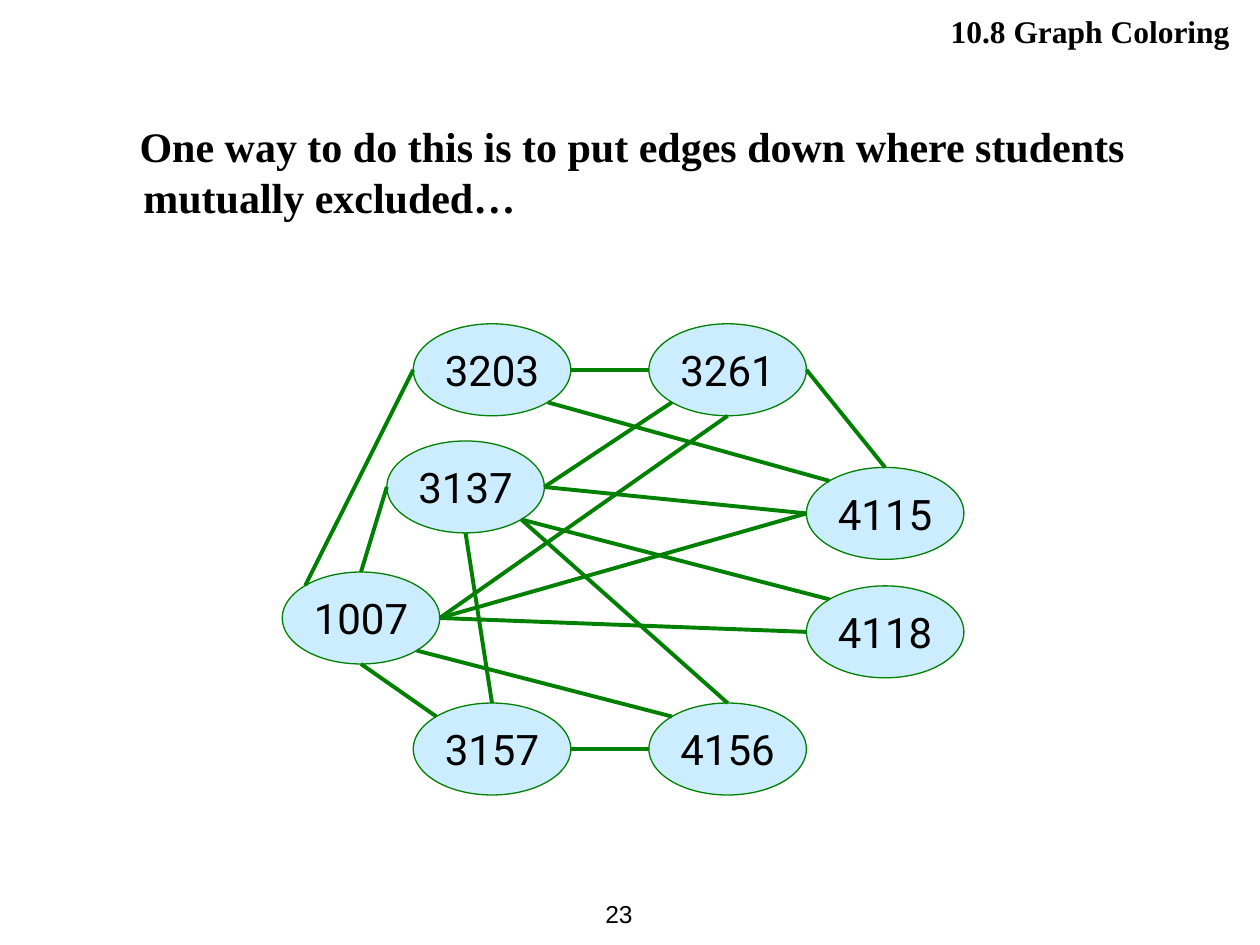
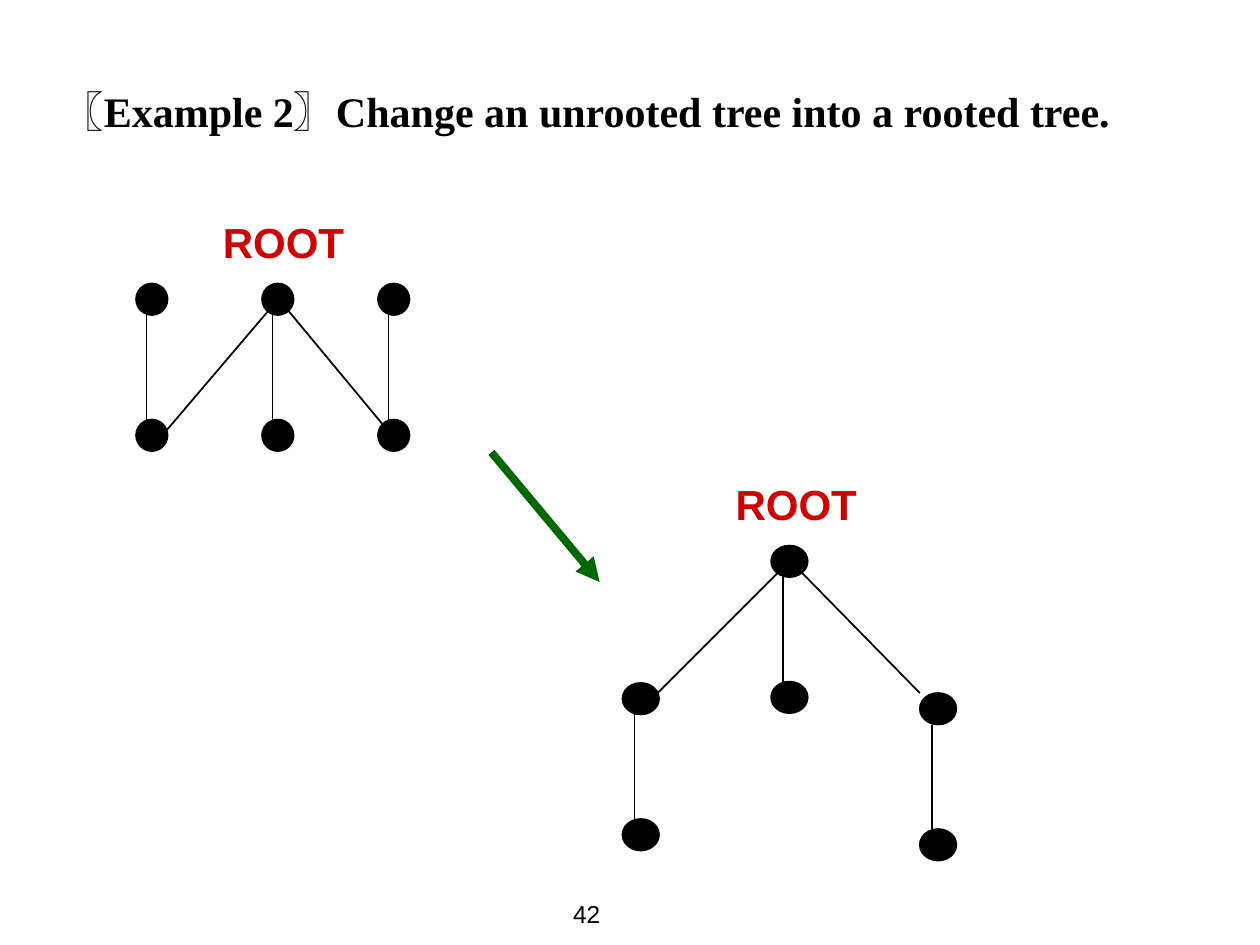
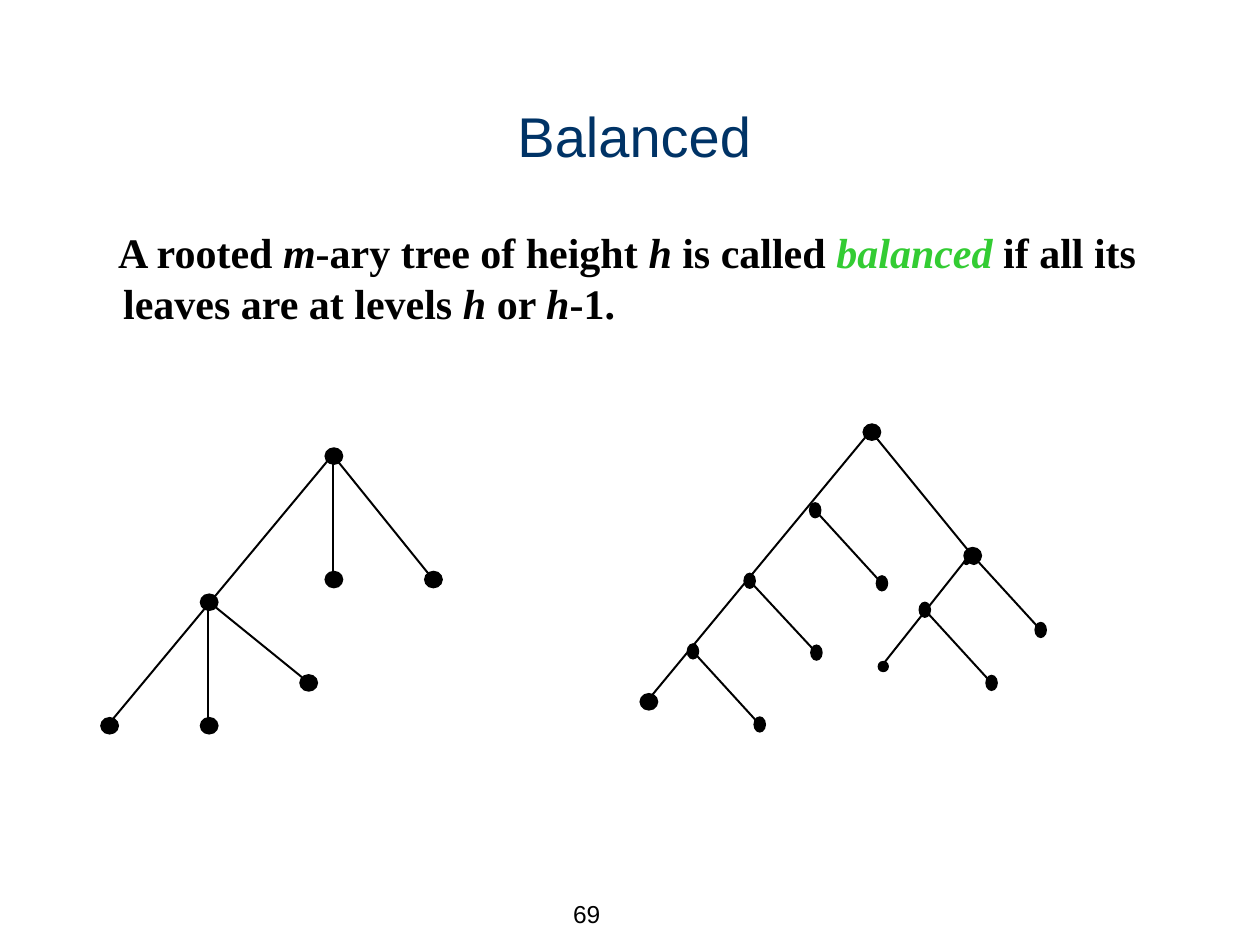
from math import cos, radians, sin

from lxml import etree
from pptx import Presentation
from pptx.dml.color import RGBColor
from pptx.enum.shapes import MSO_CONNECTOR, MSO_SHAPE
from pptx.enum.text import MSO_ANCHOR, MSO_AUTO_SIZE, PP_ALIGN
from pptx.oxml.ns import qn
from pptx.util import Inches, Pt

OVAL = MSO_SHAPE.OVAL
STRAIGHT = MSO_CONNECTOR.STRAIGHT
LEFT, CENTER, RIGHT = PP_ALIGN.LEFT, PP_ALIGN.CENTER, PP_ALIGN.RIGHT
TOP, MIDDLE, BOTTOM = MSO_ANCHOR.TOP, MSO_ANCHOR.MIDDLE, MSO_ANCHOR.BOTTOM
TITLE_ONLY, BLANK = 5, 6

COLORS = {
    "black": "000000",
    "edge": "008000",
    "course": "CCECFF",
    "root": "CC0000",
    "arrow": "006600",
    "title": "003366",
    "term": "33CC33",
}
SERIF, SANS, COURSE_FONT = "Times New Roman", "Arial", "Roboto"

SECTION = "10.8 Graph Coloring"
EXCLUSION_TEXT = "One way to do this is to put edges down where students mutually excluded…"
COURSE_SIZE = (1.25, 0.73)
COURSES = {
    "1007": (2.24, 4.54),
    "3137": (3.07, 3.5),
    "3157": (3.28, 5.58),
    "3203": (3.28, 2.57),
    "4115": (6.4, 3.71),
    "3261": (5.15, 2.57),
    "4156": (5.15, 5.58),
    "4118": (6.4, 4.65),
}
SITE_ANGLES = {
    "right": 0, "bottom right": 45, "bottom": 90, "bottom left": 135,
    "left": 180, "top left": 225, "top": 270,
}
CONFLICTS = [
    ("1007", "top", "3137", "left"),
    ("3157", "top left", "1007", "bottom"),
    ("1007", "top left", "3203", "left"),
    ("1007", "right", "3261", "bottom"),
    ("3137", "right", "3261", "bottom left"),
    ("3203", "right", "3261", "left"),
    ("3157", "top", "3137", "bottom"),
    ("4156", "left", "3157", "right"),
    ("4156", "top left", "1007", "bottom right"),
    ("4156", "top", "3137", "bottom right"),
    ("3261", "right", "4115", "top"),
    ("3203", "bottom right", "4115", "top left"),
    ("3137", "right", "4115", "left"),
    ("1007", "right", "4115", "left"),
    ("3137", "bottom right", "4118", "top left"),
    ("1007", "right", "4118", "left"),
]

EXAMPLE_TITLE = "〖Example 2〗Change an unrooted tree into a rooted tree."
VERTEX_HEIGHT, LEVEL_DROP = 0.25, 1.08
ROOTING_TREES = [
    {
        "vertex_width": 0.25,
        "columns": [(1.08, 2.25), (2.08, 2.25), (3, 2.25)],
        "slanted": [((2.25, 2.42), (3.08, 3.42)), ((2.17, 2.42), (1.25, 3.5))],
        "label": (1.67, 1.67),
    },
    {
        "vertex_width": 0.29,
        "columns": [(4.94, 5.42), (6.12, 4.33), (7.3, 5.5)],
        "slanted": [((6.32, 4.5), (7.3, 5.5)), ((6.22, 4.5), (5.14, 5.58))],
        "label": (5.74, 3.75),
    },
]
ROOTING_ARROW = ((3.9, 3.59), (4.76, 4.62))

BALANCED_TITLE = "Balanced"
BALANCED_RUNS = [
    ("A rooted ", False, "black"),
    ("m", True, "black"),
    ("-ary tree of height ", False, "black"),
    ("h", True, "black"),
    (" is called ", False, "black"),
    ("balanced", True, "term"),
    (" if all its leaves are at levels ", False, "black"),
    ("h", True, "black"),
    (" or ", False, "black"),
    ("h", True, "black"),
    ("-1.", False, "black"),
]
BRANCHES = [
    ((0.15, 0.14), (2.64, 3.61), [(0.86, 5.75), (2.64, 4.59), (3.43, 4.59)]),
    ((0.15, 0.14), (1.65, 4.77), [(1.65, 5.75), (2.44, 5.41)]),
    ((0.15, 0.14), (6.91, 3.42), [(5.14, 5.56), (7.71, 4.4)]),
    ((0.1, 0.13), (6.46, 4.04), [(6.99, 4.62)]),
    ((0.1, 0.13), (5.94, 4.6), [(6.47, 5.17)]),
    ((0.1, 0.13), (5.49, 5.16), [(6.02, 5.74)]),
    ((0.05, 0.05), (7.66, 4.45), [(7.01, 5.27)]),
    ((0.1, 0.13), (7.72, 4.41), [(8.25, 4.99)]),
    ((0.1, 0.13), (7.33, 4.83), [(7.86, 5.41)]),
]
OUTLINED_LEAF = (6.97, 5.25, 0.08, 0.08)


def color(name):
    return RGBColor.from_string(COLORS[name])


def write(shape, runs, font, size, bold=False, align=LEFT, anchor=TOP, wrap=True):
    frame = shape.text_frame
    frame.auto_size = MSO_AUTO_SIZE.NONE
    frame.word_wrap = wrap
    frame.vertical_anchor = anchor
    paragraph = frame.paragraphs[0]
    paragraph.alignment = align
    for text, italic, color_name in runs:
        run = paragraph.add_run()
        run.text = text
        run.font.name = font
        run.font.size = Pt(size)
        run.font.bold = bold
        run.font.italic = italic
        run.font.color.rgb = color(color_name)
    return paragraph


def plain(text, color_name="black"):
    return [(text, False, color_name)]


def add_text(slide, box, runs, font, size, **style):
    shape = slide.shapes.add_textbox(*map(Inches, box))
    write(shape, runs, font, size, **style)
    return shape


def add_body(slide, box, runs, margin, first_line):
    shape = add_text(slide, box, runs, SERIF, 24, bold=True)
    properties = shape.text_frame.paragraphs[0]._p.get_or_add_pPr()
    properties.set("marL", str(Inches(margin)))
    properties.set("indent", str(Inches(first_line)))


def set_title(slide, box, text, font, size, color_name="black", **style):
    title = slide.shapes.title
    title.left, title.top, title.width, title.height = map(Inches, box)
    write(title, plain(text, color_name), font, size, **style)


def add_oval(slide, box, fill="black", line=None, line_width=1):
    shape = slide.shapes.add_shape(OVAL, *map(Inches, box))
    shape.shadow.inherit = False
    shape.fill.solid()
    shape.fill.fore_color.rgb = color(fill)
    if line:
        shape.line.color.rgb = color(line)
        shape.line.width = Pt(line_width)
    else:
        shape.line.fill.background()
    return shape


def add_line(slide, start, end, color_name="black", width=1, arrow=False):
    connector = slide.shapes.add_connector(STRAIGHT, *map(Inches, (*start, *end)))
    connector.line.color.rgb = color(color_name)
    connector.line.width = Pt(width)
    properties = connector.element.spPr
    if arrow:
        etree.SubElement(properties.find(qn("a:ln")), qn("a:tailEnd"), type="triangle")
    etree.SubElement(properties, qn("a:effectLst"))


def add_slide(presentation, layout, number, number_align=LEFT):
    slide = presentation.slides.add_slide(presentation.slide_layouts[layout])
    add_text(slide, (4.45, 7, 0.67, 0.5), plain(number), SANS, 14,
             align=number_align, anchor=MIDDLE)
    return slide


def course_site(course, site):
    left, top = COURSES[course]
    width, height = COURSE_SIZE
    angle = radians(SITE_ANGLES[site])
    return left + width / 2 * (1 + cos(angle)), top + height / 2 * (1 + sin(angle))


def build_coloring(presentation):
    slide = add_slide(presentation, BLANK, "23", RIGHT)
    add_body(slide, (0.51, 0.91, 9.06, 0.9), plain(EXCLUSION_TEXT), 0.53, -0.03)
    for course, position in COURSES.items():
        oval = add_oval(slide, (*position, *COURSE_SIZE), "course", "edge", 0.75)
        write(oval, plain(course), COURSE_FONT, 24, align=CENTER, anchor=MIDDLE, wrap=False)
    for course, site, other, other_site in CONFLICTS:
        add_line(slide, course_site(course, site), course_site(other, other_site), "edge", 2.25)
    header = add_text(slide, (3.98, 0.05, 5.94, 0.4), plain(SECTION), SERIF, 18,
                      bold=True, align=RIGHT)
    header.text_frame.margin_right = Inches(0.16)


def build_rooting(presentation):
    slide = add_slide(presentation, TITLE_ONLY, "42")
    set_title(slide, (0.39, 0.63, 9, 0.54), EXAMPLE_TITLE, SERIF, 24, bold=True)
    for tree in ROOTING_TREES:
        width = tree["vertex_width"]
        for left, top in tree["columns"]:
            for vertex_top in (top, top + LEVEL_DROP):
                add_oval(slide, (left, vertex_top, width, VERTEX_HEIGHT), line="black")
            edge_left = left + width / 3
            add_line(slide, (edge_left, top + VERTEX_HEIGHT), (edge_left, top + LEVEL_DROP))
        for start, end in tree["slanted"]:
            add_line(slide, start, end)
        add_text(slide, (*tree["label"], 1.16, 0.5), plain("ROOT", "root"), SANS, 24,
                 bold=True, wrap=False)
    add_line(slide, *ROOTING_ARROW, "arrow", 4.5, arrow=True)


def build_balanced(presentation):
    slide = add_slide(presentation, TITLE_ONLY, "69")
    set_title(slide, (0.42, 0.72, 9.23, 0.67), BALANCED_TITLE, SANS, 32, "title",
              align=CENTER, anchor=BOTTOM)
    add_body(slide, (0.5, 1.75, 9, 1.13), BALANCED_RUNS, 0.38, -0.04)
    for (width, height), parent, children in BRANCHES:
        for child in children:
            add_line(slide, parent, child, width=1.13)
        for x, y in (parent, *children):
            add_oval(slide, (x + 0.01 - width / 2, y + 0.01 - height / 2, width, height))
    add_oval(slide, OUTLINED_LEAF, line="black", line_width=0.75)


def main():
    presentation = Presentation()
    presentation.slide_width, presentation.slide_height = Inches(10), Inches(7.5)
    build_coloring(presentation)
    build_rooting(presentation)
    build_balanced(presentation)
    presentation.save("out.pptx")


if __name__ == "__main__":
    main()
